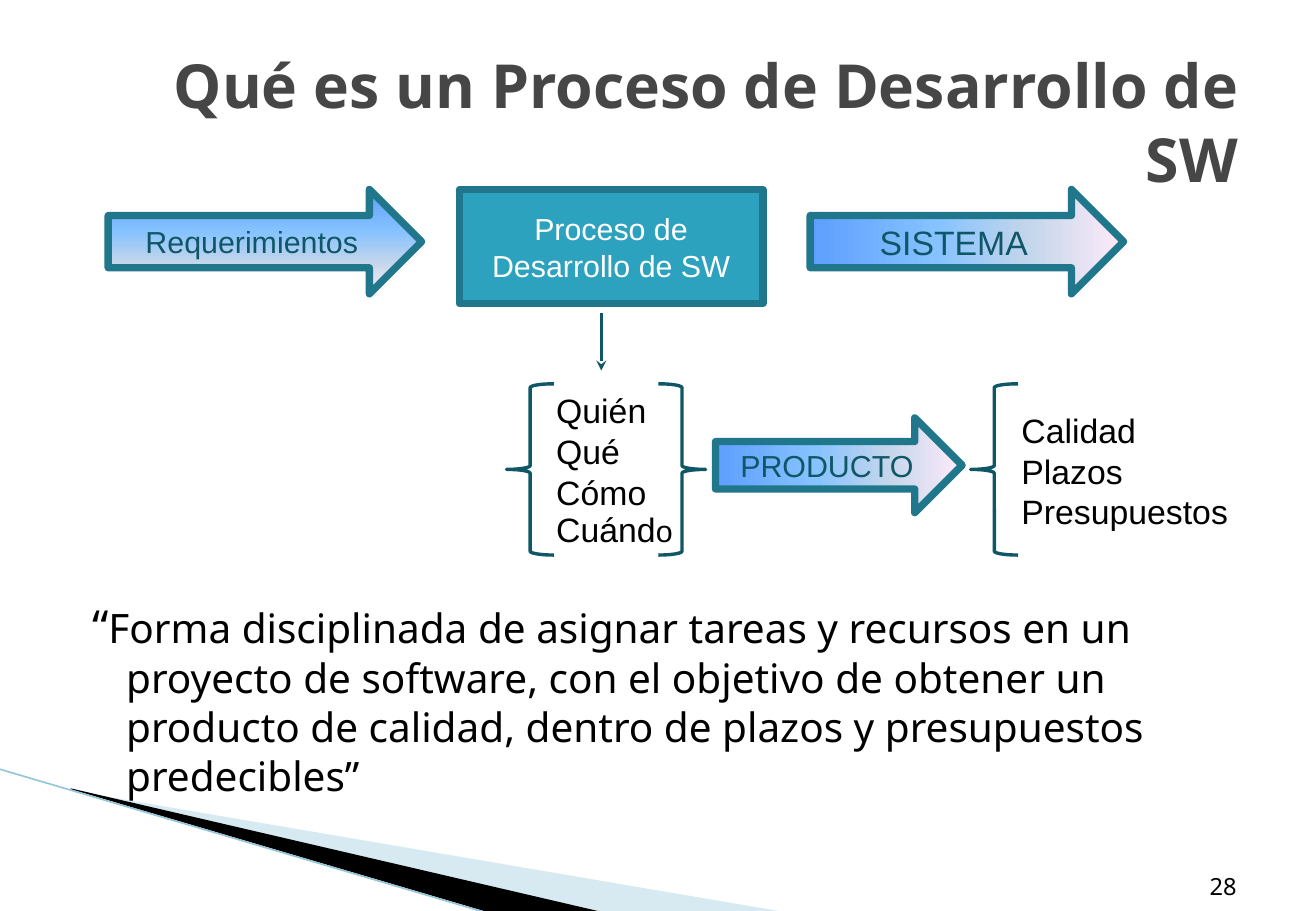
"""Build the slide on what a software development process is."""
from lxml.etree import SubElement as Sub
from pptx import Presentation
from pptx.dml.color import RGBColor
from pptx.enum.shapes import MSO_CONNECTOR as Link, MSO_SHAPE as Kind
from pptx.enum.text import MSO_ANCHOR as Anchor, PP_ALIGN as Align
from pptx.oxml.ns import qn
from pptx.util import Pt

hue = RGBColor.from_string
TEAL, EDGE = "0F5666", "20768B"
BLEND = [(0, "5E9EFF"), (40, "85C2FF"), (70, "C4D6EB"), (100, "FFEBFA")]

deck = Presentation()
deck.slide_width, deck.slide_height = Pt(780), Pt(540)
slide = deck.slides.add_slide(deck.slide_layouts[6])
shapes = slide.shapes


def write(shape, lines, font, tint, align=Align.LEFT, bold=False, **form):
    """Fill a shape with lines, each a list of (text, size) runs."""
    frame = shape.text_frame
    base = {"word_wrap": True, "vertical_anchor": Anchor.TOP,
            "margin_left": Pt(7.2), "margin_right": Pt(7.2),
            "margin_top": Pt(3.6), "margin_bottom": Pt(3.6)}
    for name, value in {**base, **form}.items():
        setattr(frame, name, value)
    for i, line in enumerate(lines):
        para = frame.add_paragraph() if i else frame.paragraphs[0]
        para.alignment = align
        para.line_spacing = Pt(1.21 * line[-1][1])
        for text, size in line:
            run = para.add_run()
            run.text = text
            for name, value in {"name": font, "size": Pt(size), "bold": bold}.items():
                setattr(run.font, name, value)
            run.font.color.rgb = hue(tint)


def draw(line, tint, width, head=None):
    """Style a connector, with an arrowhead if one is named."""
    line.line.color.rgb = hue(tint)
    line.line.width = Pt(width)
    if head:
        Sub(line.line._get_or_add_ln(), qn("a:tailEnd"), type=head)
    Sub(line._element.spPr, qn("a:effectLst"))


wedges = [
    ("9CCADC", 40, [(42.5, 468.7), (464.4, 540.5), (355.7, 540.5), (42.5, 468)]),
    ("000000", 100, [(41.8, 467.3), (356.4, 540.5), (290.2, 541), (42.5, 468)]),
]
for tint, alpha, spots in wedges:
    spots = [(Pt(x), Pt(y)) for x, y in spots]
    path = shapes.build_freeform(*spots[0])
    path.add_line_segments(spots[1:], close=True)
    wedge = path.convert_to_shape()
    wedge.shadow.inherit = False
    wedge.fill.solid()
    wedge.fill.fore_color.rgb = hue(tint)
    wedge.line.fill.background()
    if alpha < 100:
        color = wedge._element.spPr.find(".//" + qn("a:srgbClr"))
        Sub(color, qn("a:alpha"), val=str(alpha * 1000))

rim = shapes.add_connector(Link.STRAIGHT, Pt(-0.7), Pt(455.8), Pt(289.5), Pt(541.4))
draw(rim, "93C5D8", 0.95)

quote = [[("“", 27), ("Forma disciplinada de asignar tareas y recursos en un proyecto de "
                       "software, con el objetivo de obtener un producto de calidad, "
                       "dentro de plazos y presupuestos predecibles”", 24)]]
body = shapes.add_textbox(Pt(38.9), Pt(348.5), Pt(702), Pt(141))
write(body, quote, "Noto Sans", "000000", margin_top=Pt(9.6))
props = body.text_frame.paragraphs[0]._p.get_or_add_pPr()
props.set("marL", str(Pt(28.8)))
props.set("indent", str(Pt(-20.2)))

title = shapes.add_textbox(Pt(38.9), Pt(21.6), Pt(702), Pt(90))
write(title, [[("Qué es un Proceso de Desarrollo de SW", 36)]], "Noto Sans", "464646",
      Align.RIGHT, True, vertical_anchor=Anchor.MIDDLE, margin_top=Pt(13.6))

page = shapes.add_textbox(Pt(641.5), Pt(500.4), Pt(98.6), Pt(36.7))
write(page, [[("28", 14)]], "Noto Sans", "000000", Align.RIGHT,
      vertical_anchor=Anchor.BOTTOM)

lists = [
    (322.6, 227.5, 84.2, 104.4, [[("Quién", 20)], [("Qué", 20)], [("Cómo", 20)],
                                 [("Cuánd", 20), ("o", 18)]]),
    (598.3, 239, 138.2, 79.9, [[("Calidad", 20)], [("Plazos", 20)],
                               [("Presupuestos", 20)]]),
]
for left, top, wide, high, lines in lists:
    box = shapes.add_textbox(Pt(left), Pt(top), Pt(wide), Pt(high))
    write(box, lines, "Arial", "000000")

for left, flip in [(300.2, False), (390.2, True), (575.3, False)]:
    brace = shapes.add_shape(Kind.LEFT_BRACE, Pt(left), Pt(227.5), Pt(28.1), Pt(101.5))
    brace.shadow.inherit = False
    brace.adjustments[0] = 0.08
    brace.fill.background()
    brace.line.color.rgb = hue(TEAL)
    brace.line.width = Pt(2)
    if flip:
        brace._element.spPr.xfrm.set("flipH", "1")

down = shapes.add_connector(Link.STRAIGHT, Pt(356.4), Pt(185.8), Pt(356.4), Pt(219.6))
draw(down, TEAL, 2, "stealth")

blocks = [
    (Kind.RECTANGLE, 272.2, 112.3, 180, 67.7, "Proceso de Desarrollo de SW", 18, "FFFFFF", None),
    (Kind.RIGHT_ARROW, 64.1, 112.3, 185.8, 61.9, "Requerimientos", 18, TEAL, 270),
    (Kind.RIGHT_ARROW, 480.2, 112.3, 185.8, 61.9, "SISTEMA", 20, TEAL, 0),
    (Kind.RIGHT_ARROW, 424.1, 247.7, 146.2, 56.2, "PRODUCTO", 18, TEAL, 0),
]
for kind, left, top, wide, high, text, size, tint, angle in blocks:
    block = shapes.add_shape(kind, Pt(left), Pt(top), Pt(wide), Pt(high))
    block.shadow.inherit = False
    block.line.color.rgb = hue(EDGE)
    block.line.width = Pt(4.33)
    if angle is None:
        block.fill.solid()
        block.fill.fore_color.rgb = hue("2DA2BF")
    else:
        block.fill.gradient()
        block.fill.gradient_angle = angle
        stops = block._element.spPr.find(".//" + qn("a:gsLst"))
        for stop in list(stops):
            stops.remove(stop)
        for place, shade in BLEND:
            stop = Sub(stops, qn("a:gs"), pos=str(place * 1000))
            Sub(stop, qn("a:srgbClr"), val=shade)
    write(block, [[(text, size)]], "Arial", tint, Align.CENTER,
          vertical_anchor=Anchor.MIDDLE)

deck.save("out.pptx")
